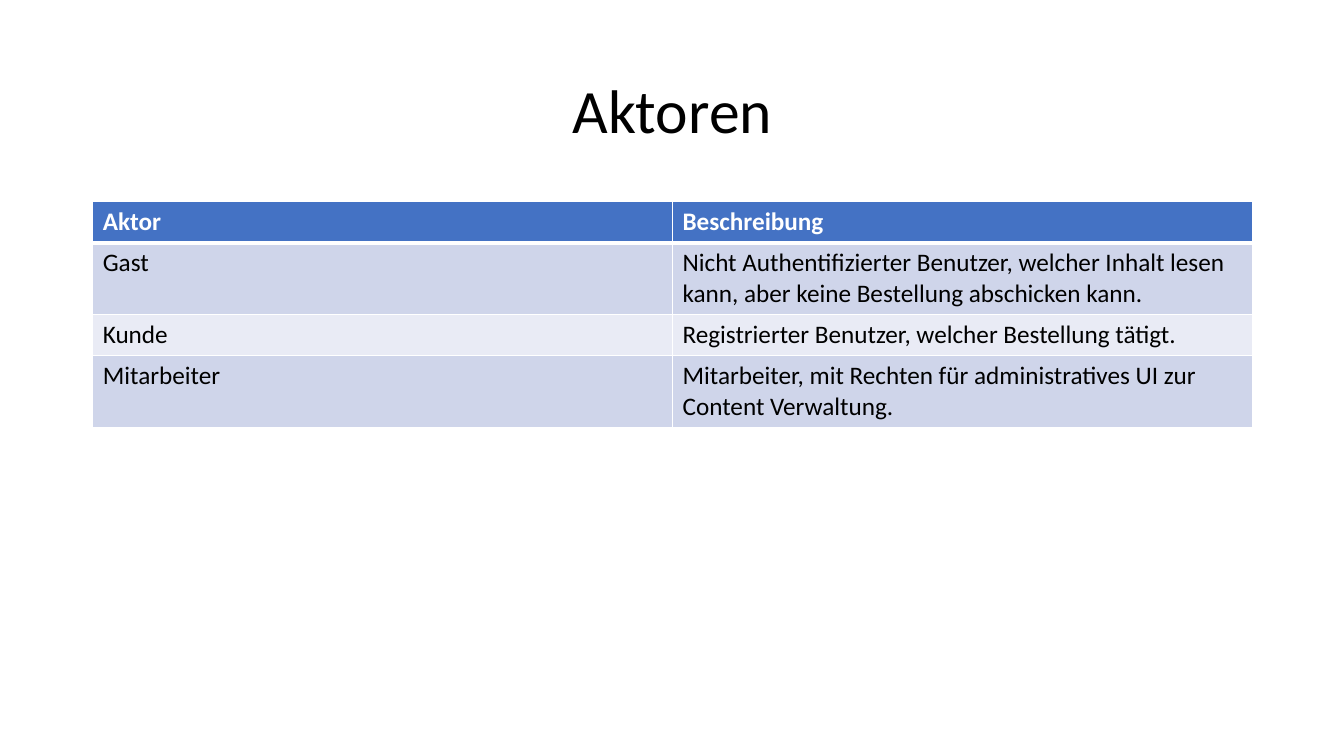
from lxml import etree
from pptx import Presentation, util as u
from pptx.dml.color import RGBColor
from pptx.enum import text
from pptx.oxml.ns import qn

TITLE = "Aktoren"
ROWS = [
    ("Aktor", "Beschreibung"),
    ("Gast", "Nicht Authentifizierter Benutzer, welcher Inhalt lesen kann, "
             "aber keine Bestellung abschicken kann."),
    ("Kunde", "Registrierter Benutzer, welcher Bestellung tätigt."),
    ("Mitarbeiter", "Mitarbeiter, mit Rechten für administratives UI zur "
                    "Content Verwaltung."),
]
HEIGHTS = [0.41, 0.7, 0.41, 0.7]
COLORS = {"head": "4472C4", "odd": "CFD5EA", "even": "E9EBF5",
          "white": "FFFFFF", "black": "000000"}
WIDE, HIGH = 13.33, 7.5
LEFT, SPAN = 0.92, 11.5
TOP = 2


def style(font, color, **values):
    for key, value in {"name": "Calibri", **values}.items():
        setattr(font, key, value)
    font.color.rgb = RGBColor.from_string(COLORS[color])


def place(shape, *box):
    for key, value in zip(("left", "top", "width", "height"), box):
        setattr(shape, key, u.Inches(value))


def border(cell, widths):
    props = cell._tc.get_or_add_tcPr()
    for side, width in widths.items():
        line = etree.SubElement(props, qn("a:ln" + side), w=str(u.Pt(width)))
        fill = etree.SubElement(line, qn("a:solidFill"))
        etree.SubElement(fill, qn("a:srgbClr"), val=COLORS["white"])


def add_title(slide):
    title = slide.shapes.title
    place(title, LEFT, 0.4, SPAN, 1.45)
    title.text_frame.vertical_anchor = text.MSO_ANCHOR.MIDDLE
    para = title.text_frame.paragraphs[0]
    para.text = TITLE
    para.alignment = text.PP_ALIGN.CENTER
    para.line_spacing = 0.9
    style(para.runs[0].font, "black", size=u.Pt(44))


def add_table(slide):
    box = [u.Inches(n) for n in (LEFT, TOP, SPAN, sum(HEIGHTS))]
    table = slide.shapes.add_table(len(ROWS), len(ROWS[0]), *box).table
    for r, (row, high) in enumerate(zip(ROWS, HEIGHTS)):
        table.rows[r].height = u.Inches(high)
        head = r == 0
        tone = "head" if head else "odd" if r % 2 else "even"
        for c, words in enumerate(row):
            cell = table.cell(r, c)
            border(cell, {"L": 1, "R": 1, "T": 3 if r == 1 else 1,
                          "B": 3 if head else 1})
            cell.fill.solid()
            cell.fill.fore_color.rgb = RGBColor.from_string(COLORS[tone])
            cell.text = words
            style(cell.text_frame.paragraphs[0].runs[0].font,
                  "white" if head else "black", size=u.Pt(18), bold=head)


def main():
    deck = Presentation()
    deck.slide_width, deck.slide_height = u.Inches(WIDE), u.Inches(HIGH)
    slide = deck.slides.add_slide(deck.slide_layouts.get_by_name("Title Only"))
    add_title(slide)
    add_table(slide)
    deck.save("out.pptx")


if __name__ == "__main__":
    main()
